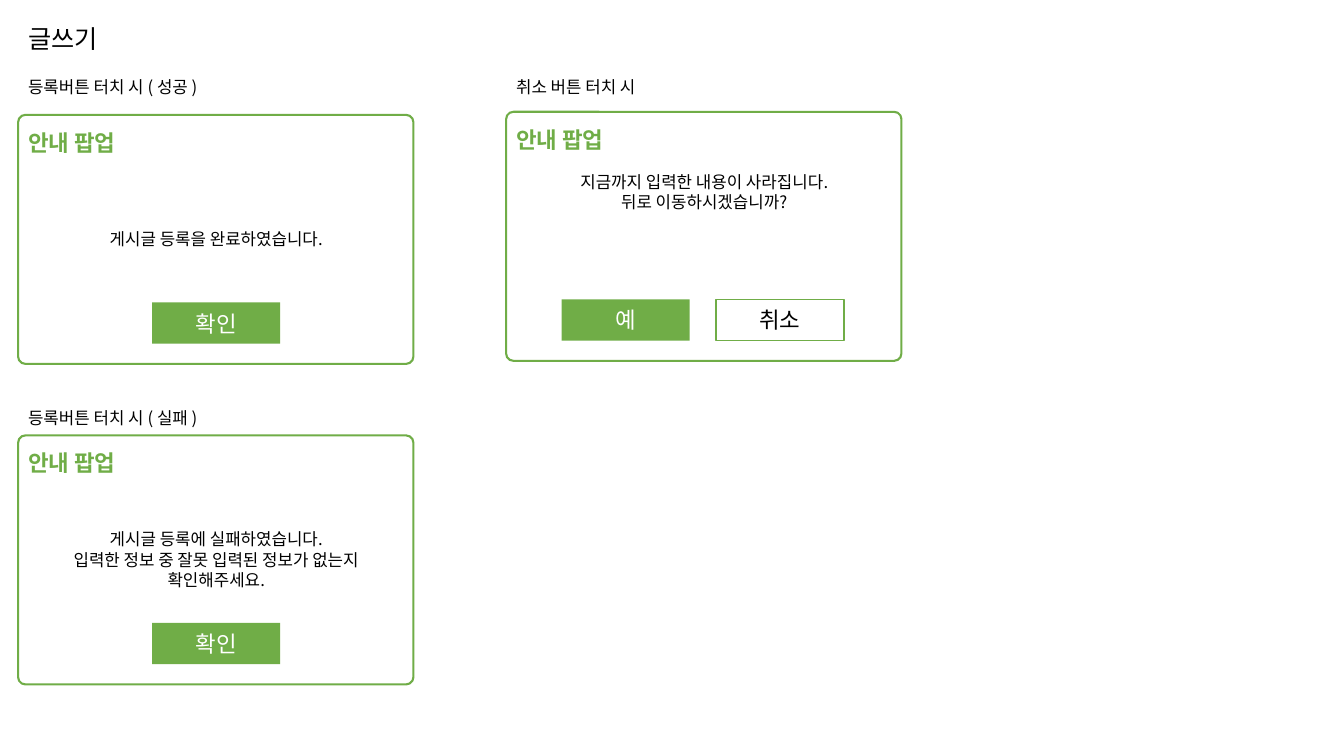
import pptx
import pptx.util
import pptx.dml.color
import pptx.enum.shapes
import pptx.enum.text
import lxml.etree
from pptx.util import Inches

FONT = "Noto Sans CJK KR"
GREEN, WHITE, BLACK = "70AD47", "FFFFFF", "000000"
SHAPE = pptx.enum.shapes.MSO_SHAPE
ANCHOR = pptx.enum.text.MSO_ANCHOR
ALIGN = pptx.enum.text.PP_ALIGN


def rgb(value):
    return pptx.dml.color.RGBColor.from_string(value)


def write(sp, text, size=12, color=BLACK, bold=False, align=ALIGN.LEFT, anchor=ANCHOR.TOP):
    """Fill a shape with text, one paragraph per line, in the Korean font."""
    tf = sp.text_frame
    tf.word_wrap = True
    tf.auto_size = pptx.enum.text.MSO_AUTO_SIZE.NONE
    tf.vertical_anchor = anchor
    tf.margin_left = tf.margin_right = Inches(0.1)
    tf.margin_top = tf.margin_bottom = Inches(0.05)
    tf.text = text
    for p in tf.paragraphs:
        p.alignment = align
        p.line_spacing = 1.0
        p.space_before = pptx.util.Pt(0)
        for r in p.runs:
            r.font.size = pptx.util.Pt(size)
            r.font.bold = bold
            r.font.color.rgb = rgb(color)
            r.font.name = FONT
            ea = lxml.etree.SubElement(r.font._element, pptx.oxml.ns.qn("a:ea"))
            ea.set("typeface", FONT)


prs = pptx.Presentation()
prs.slide_width, prs.slide_height = Inches(13.33), Inches(7.5)
s = prs.slides.add_slide(prs.slide_layouts[5])

title = s.shapes.title
title.left, title.top = Inches(0.18), Inches(0.18)
title.width, title.height = Inches(2.79), Inches(0.4)
write(title, "글쓰기", size=18)

# Caption, caption top, popup left and top, message, message top, buttons (label, offset, fill, text)
confirm = [("확인", 1.33, GREEN, WHITE)]
popups = [
    ("등록버튼 터치 시 ( 성공 )", 0.71, 0.18, 1.14,
     "게시글 등록을 완료하였습니다.", 2.22, confirm),
    ("등록버튼 터치 시 ( 실패 )", 4.0, 0.18, 4.32,
     "게시글 등록에 실패하였습니다.\n입력한 정보 중 잘못 입력된 정보가 없는지\n확인해주세요.", 5.2, confirm),
    ("취소 버튼 터치 시", 0.71, 5.02, 1.11,
     "지금까지 입력한 내용이 사라집니다.\n뒤로 이동하시겠습니까?", 1.65,
     [("예", 0.55, GREEN, WHITE), ("취소", 2.08, WHITE, BLACK)]),
]

for caption, caption_top, x, y, message, message_top, buttons in popups:
    sp = s.shapes.add_textbox(Inches(x), Inches(caption_top), Inches(2.79), Inches(0.3))
    write(sp, caption)

    sp = s.shapes.add_shape(SHAPE.ROUNDED_RECTANGLE, Inches(x), Inches(y), Inches(3.92), Inches(2.47))
    sp.adjustments[0] = 0.029
    sp.shadow.inherit = False
    sp.fill.solid()
    sp.fill.fore_color.rgb = rgb(WHITE)
    sp.line.color.rgb = rgb(GREEN)
    sp.line.width = pptx.util.Pt(1.5)

    sp = s.shapes.add_textbox(Inches(x), Inches(y + 0.09), Inches(2.79), Inches(0.37))
    write(sp, "안내 팝업", size=16, color=GREEN, bold=True)

    message_height = 0.1 + 0.2 * len(message.split("\n"))
    sp = s.shapes.add_textbox(Inches(x + 0.14), Inches(message_top), Inches(3.65), Inches(message_height))
    write(sp, message, align=ALIGN.CENTER)

    for label, offset, fill, color in buttons:
        sp = s.shapes.add_shape(SHAPE.RECTANGLE, Inches(x + offset), Inches(y + 1.86), Inches(1.27), Inches(0.41))
        sp.shadow.inherit = False
        sp.fill.solid()
        sp.fill.fore_color.rgb = rgb(fill)
        if fill == WHITE:
            sp.line.color.rgb = rgb(GREEN)
            sp.line.width = pptx.util.Pt(1)
        else:
            sp.line.fill.background()
        write(sp, label, size=16, color=color, align=ALIGN.CENTER, anchor=ANCHOR.MIDDLE)

prs.save("out.pptx")
